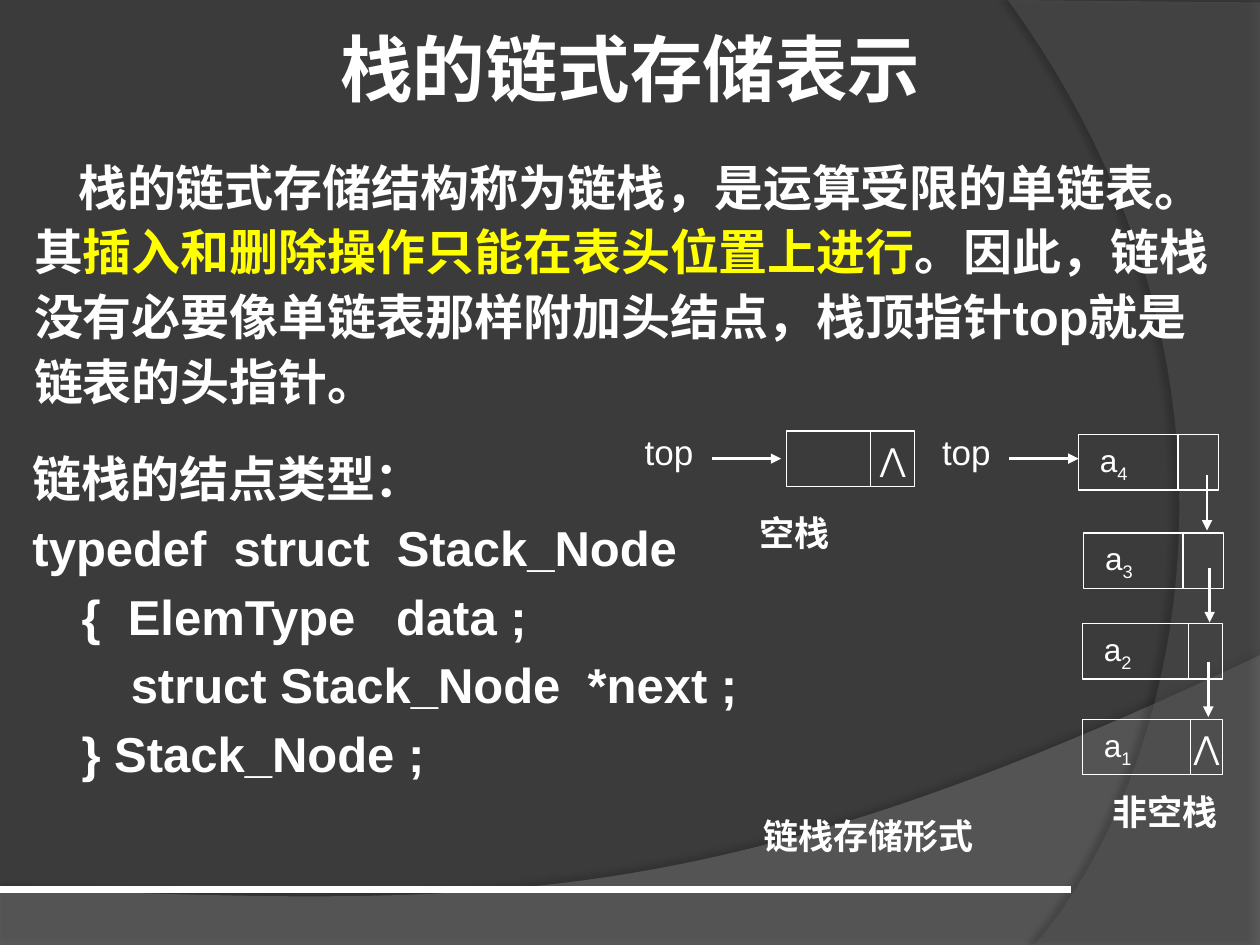
from lxml import etree
from pptx import Presentation
from pptx.dml.color import RGBColor
from pptx.enum.shapes import MSO_CONNECTOR, MSO_SHAPE
from pptx.enum.text import MSO_ANCHOR, MSO_AUTO_SIZE, PP_ALIGN
from pptx.oxml.ns import qn
from pptx.util import Inches, Pt

STRAIGHT, RECT = MSO_CONNECTOR.STRAIGHT, MSO_SHAPE.RECTANGLE
MIDDLE, TOP = MSO_ANCHOR.MIDDLE, MSO_ANCHOR.TOP
CENTER, LEFT = PP_ALIGN.CENTER, PP_ALIGN.LEFT
NO_FIT = MSO_AUTO_SIZE.NONE
CJK, LATIN = "Noto Sans CJK SC", "Arial"
WHITE, YELLOW = "FFFFFF", "FFFF00"

# Content
TITLE = "栈的链式存储表示"
INTRO = [  # text, font, colour
    ("栈的链式存储结构称为链栈，是运算受限的单链表。其", CJK, WHITE),
    ("插入和删除操作只能在表头位置上进行", CJK, YELLOW),
    ("。因此，链栈没有必要像单链表那样附加头结点，栈顶指针", CJK, WHITE),
    ("top", LATIN, WHITE),
    ("就是链表的头指针。", CJK, WHITE),
]
CODE = [  # level, text
    (0, "链栈的结点类型："),
    (0, "typedef  struct  Stack_Node"),
    (1, "{  ElemType   data ;"),
    (2, "struct Stack_Node  *next ;"),
    (1, "} Stack_Node ;"),
]
LABELS = [  # text, left, top, width, height, bold
    ("空栈", 5.84, 4.01, 0.93, 0.44, True),
    ("top", 4.96, 3.36, 0.7, 0.44, False),
    ("非空栈", 8.67, 6.22, 1.16, 0.44, True),
    ("top", 7.32, 3.36, 0.7, 0.44, False),
    ("链栈存储形式", 5.16, 6.39, 3.47, 0.48, True),
]
NODE_H = 0.44
NODES = [  # subscript, left, top, width, divider x, is last
    ("", 6.24, 3.42, 1.02, 6.91, True),
    ("4", 8.56, 3.45, 1.11, 9.35, False),
    ("3", 8.6, 4.23, 1.11, 9.39, False),
    ("2", 8.59, 4.95, 1.11, 9.43, False),
    ("1", 8.59, 5.71, 1.11, 9.45, True),
]
ARROWS = [  # x1, y1, x2, y2
    (5.65, 3.64, 6.2, 3.64),
    (8.01, 3.64, 8.56, 3.64),
    (9.58, 3.77, 9.58, 4.21),
    (9.6, 4.51, 9.6, 4.94),
    (9.59, 5.25, 9.59, 5.69),
]
SWOOSHES = [  # corners, curve, fill, opacity, shadow (opacity, blur, distance, angle)
    ([(0, 7.51), (10, 7.51)],
     [(10, 5.2), (5.59, 7.29), (3.91, 7.19), (0, 7.05)], "7F7F7F", 45, (35, 4, 3.5, 270)),
    ([(10, 0.02), (10, 7.5)],
     [(8.21, 7.5), (9.35, 6.19), (10.18, 3), (8, 0)], "5E5E5E", 40, (45, 4, 4, 180)),
]

prs = Presentation()
prs.slide_width, prs.slide_height = Inches(10), Inches(7.5)
s = prs.slides.add_slide(prs.slide_layouts[1])


def rgb(color):
    return RGBColor.from_string(color)


def add(parent, tag, **attrs):
    return etree.SubElement(parent, qn(tag), attrs)


def add_run(p, text, size, font=LATIN, color=WHITE, bold=False):
    r = p.add_run()
    r.text = text
    r.font.size, r.font.bold, r.font.name = Pt(size), bold, font
    r.font.color.rgb = rgb(color)
    add(r.font._element, "a:ea", typeface=CJK)
    return r


def place(sp, *box):
    sp.left, sp.top, sp.width, sp.height = map(Inches, box)


def frame(sp, wrap=True, anchor=MIDDLE, align=CENTER):
    tf = sp.text_frame
    tf.auto_size, tf.word_wrap, tf.vertical_anchor = NO_FIT, wrap, anchor
    tf.paragraphs[0].alignment = align
    return tf


def textbox(*box, **layout):
    return frame(s.shapes.add_textbox(*map(Inches, box)), **layout)


def line(x1, y1, x2, y2, width, arrow=False):
    c = s.shapes.add_connector(STRAIGHT, *map(Inches, (x1, y1, x2, y2)))
    c.line.color.rgb, c.line.width = rgb(WHITE), Pt(width)
    if arrow:
        add(c.line._get_or_add_ln(), "a:tailEnd", type="triangle")
    add(c._element.spPr, "a:effectLst")


def bezier(points, steps=48):
    for i in range(steps + 1):
        t = i / steps
        weights = ((1 - t) ** 3, 3 * t * (1 - t) ** 2, 3 * t * t * (1 - t), t ** 3)
        yield tuple(sum(w * pt[k] for w, pt in zip(weights, points)) for k in (0, 1))


def swoosh(corners, curve, color, opacity, shadow):
    pts = [(Inches(x), Inches(y)) for x, y in corners + list(bezier(curve))]
    fb = s.shapes.build_freeform(*pts[0])
    fb.add_line_segments(pts[1:])
    sp = fb.convert_to_shape()
    sp.shadow.inherit = False
    sp.line.fill.background()
    sp.fill.solid()
    sp.fill.fore_color.rgb = rgb(color)
    spPr = sp._element.spPr
    add(spPr.find(".//" + qn("a:solidFill"))[0], "a:alpha", val=str(opacity * 1000))
    alpha, blur, dist, angle = shadow
    sh = add(spPr.find(qn("a:effectLst")), "a:outerShdw", blurRad=str(Pt(blur)),
             dist=str(Pt(dist)), dir=str(angle * 60000), rotWithShape="0")
    add(add(sh, "a:srgbClr", val="000000"), "a:alpha", val=str(alpha * 1000))
    s.shapes._spTree.insert(2 + SWOOSHES.index((corners, curve, color, opacity, shadow)),
                            sp._element)


# Background
s.background.fill.solid()
s.background.fill.fore_color.rgb = rgb("3B3B3B")
for item in SWOOSHES:
    swoosh(*item)
line(0, 7.06, 8.5, 7.06, 4.5)

# Title and introduction
title, body = s.shapes.title, s.placeholders[1]
place(title, 0, 0.16, 10, 0.75)
add_run(frame(title).paragraphs[0], TITLE, 41.4, "Noto Sans", bold=True)

place(body, 0.17, 1.15, 9.64, 2.91)
p = frame(body, anchor=TOP, align=LEFT).paragraphs[0]
p.line_spacing, p.space_before = Pt(37), Pt(5.6)
pPr = p._p.get_or_add_pPr()
pPr.set("marL", "0")
pPr.set("indent", str(Inches(0.35)))
add(pPr, "a:buNone")
for text, font, color in INTRO:
    add_run(p, text, 28, font, color, True)

# Node type definition
tf = textbox(0.16, 3.52, 6.24, 3.36, anchor=TOP, align=LEFT)
for i, (level, text) in enumerate(CODE):
    p = tf.add_paragraph() if i else tf.paragraphs[0]
    p.level, p.line_spacing, p.space_before = level, Pt(33), Pt(6.3)
    p._p.get_or_add_pPr().set("marL", str(Inches(0.39 * level)))
    add_run(p, text, 28, bold=True)

# Linked stack diagram
for text, *box, bold in LABELS:
    add_run(textbox(*box, wrap=False).paragraphs[0], text, 20, bold=bold)

for sub, x, y, w, divider, last in NODES:
    sp = s.shapes.add_shape(RECT, *map(Inches, (x, y, w, NODE_H)))
    sp.shadow.inherit = False
    sp.fill.background()
    sp.line.color.rgb, sp.line.width = rgb(WHITE), Pt(0.75)
    line(divider, y, divider, y + NODE_H, 0.75)
    if sub:
        tf = frame(sp, wrap=False, align=LEFT)
        tf.margin_left = Inches(0.17)
        add_run(tf.paragraphs[0], "a", 18)
        add_run(tf.paragraphs[0], sub, 18).font._element.set("baseline", "-25000")
    if last:
        tf = textbox(divider, y, x + w - divider, NODE_H, wrap=False)
        tf.margin_left = tf.margin_right = 0
        add_run(tf.paragraphs[0], "⋀", 18)

for arrow in ARROWS:
    line(*arrow, 1.5, arrow=True)

prs.save("out.pptx")
